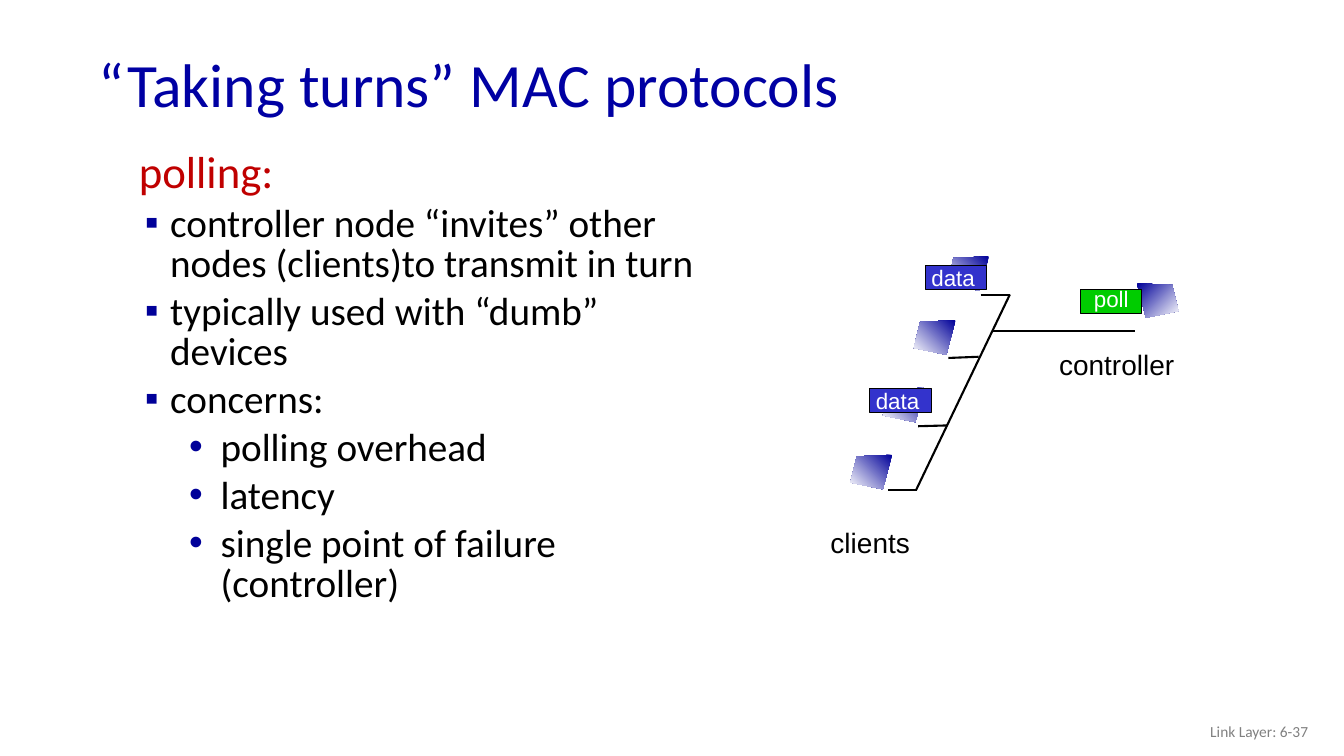
"""Build the slide on polling as a "taking turns" MAC protocol."""
from lxml.etree import SubElement
from pptx import Presentation
from pptx.dml.color import RGBColor
from pptx.enum.shapes import MSO_CONNECTOR, MSO_SHAPE
from pptx.enum.text import MSO_ANCHOR, PP_ALIGN
from pptx.oxml.ns import qn
from pptx.util import Cm, Pt

TITLE_BLUE = RGBColor(0x00, 0x00, 0xA3)
NAVY = RGBColor(0x00, 0x00, 0x99)
RED = RGBColor(0xC0, 0x00, 0x00)
GRAY = RGBColor(0x80, 0x80, 0x80)
GREEN = RGBColor(0x00, 0xCC, 0x00)
DATA_BLUE = RGBColor(0x33, 0x33, 0xCC)
BLACK = RGBColor(0x00, 0x00, 0x00)
WHITE = RGBColor(0xFF, 0xFF, 0xFF)


def write(paragraph, text, size, color=BLACK, font="Calibri", align=PP_ALIGN.LEFT,
          spacing=1.0, before=0, level=0, left=0, hanging=0, bullet=None):
    """Fill a paragraph with one formatted run."""
    paragraph.alignment = align
    paragraph.line_spacing = spacing
    paragraph.space_before = Pt(before)
    paragraph.level = level
    properties = paragraph._p.get_or_add_pPr()
    properties.set("marL", str(Cm(left)))
    properties.set("indent", str(-Cm(hanging)))
    if bullet:
        bullet_color = SubElement(properties, qn("a:buClr"))
        SubElement(bullet_color, qn("a:srgbClr"), val=str(NAVY))
        SubElement(properties, qn("a:buFont"), typeface="Arial")
        SubElement(properties, qn("a:buChar"), char=bullet)
    run = paragraph.add_run()
    run.text = text
    run.font.size = Pt(size)
    run.font.name = font
    run.font.color.rgb = color


def add_frame(left, top, width, height, anchor=MSO_ANCHOR.TOP, wrap=True):
    """Add a text box and return its text frame."""
    box = slide.shapes.add_textbox(Cm(left), Cm(top), Cm(width), Cm(height))
    box.text_frame.word_wrap = wrap
    box.text_frame.vertical_anchor = anchor
    return box.text_frame


presentation = Presentation()
presentation.slide_width = Cm(33.87)
presentation.slide_height = Cm(19.05)
slide = presentation.slides.add_slide(presentation.slide_layouts[6])

title = add_frame(2.24, 0.97, 29.21, 2.49, MSO_ANCHOR.MIDDLE)
write(title.paragraphs[0], "“Taking turns” MAC protocols", 44, TITLE_BLUE, spacing=0.9)
footer = add_frame(25.6, 17.91, 7.62, 1.02, MSO_ANCHOR.MIDDLE)
write(footer.paragraphs[0], "Link Layer: 6-37", 11, GRAY, align=PP_ALIGN.RIGHT)

body = add_frame(3.25, 3.71, 15.24, 14.07)
write(body.paragraphs[0], "polling:", 32, RED, spacing=0.85, left=0.97, hanging=0.97)
point = dict(left=0.79, hanging=0.64, bullet="▪")
subpoint = dict(level=1, left=2.06, hanging=0.79, bullet="•")
for text, style in [
    ("controller node “invites” other nodes (clients)to transmit in turn", point),
    ("typically used with “dumb” devices", point),
    ("concerns:", point),
    ("polling overhead", subpoint),
    ("latency", subpoint),
    ("single point of failure (controller)", subpoint),
]:
    write(body.add_paragraph(), text, 28, spacing=0.85, before=5.6, **style)

SCREEN_OUTLINE = [(0, 0), (0.89, 0.04), (1.05, 0.7), (0.23, 0.87)]
for corner_x, corner_y, direction, angle in [
    (22.48, 11.46, -1, 225),
    (23.3, 9.77, -1, 225),
    (24.08, 8.07, -1, 225),
    (24.92, 6.46, -1, 225),
    (28.65, 7.14, 1, 315),
]:
    corners = [(Cm(corner_x + direction * x), Cm(corner_y + y)) for x, y in SCREEN_OUTLINE]
    builder = slide.shapes.build_freeform(*corners[0])
    builder.add_line_segments(corners[1:], close=True)
    screen = builder.convert_to_shape()
    screen.shadow.inherit = False
    screen.line.fill.background()
    screen.fill.gradient()
    screen.fill.gradient_angle = angle
    for stop, color, position in zip(screen.fill.gradient_stops, (NAVY, WHITE), (0, 1)):
        stop.color.rgb = color
        stop.position = position

for text, left, top, width in [("controller", 26.44, 8.64, 3.45), ("clients", 20.68, 13.11, 2.54)]:
    label = add_frame(left, top, width, 1.12, wrap=False)
    write(label.paragraphs[0], text, 20, font="Arial")

for text, left, top, color, margin_right, margin_bottom in [
    ("poll", 27.23, 7.29, GREEN, 0, 0.13),
    ("data", 21.92, 9.78, DATA_BLUE, 0.15, 0),
    ("data", 23.32, 6.68, DATA_BLUE, 0.15, 0),
]:
    packet = slide.shapes.add_shape(MSO_SHAPE.RECTANGLE, Cm(left), Cm(top), Cm(1.55), Cm(0.61))
    packet.shadow.inherit = False
    packet.fill.solid()
    packet.fill.fore_color.rgb = color
    packet.line.color.rgb = BLACK
    packet.line.width = Pt(0.75)
    frame = packet.text_frame
    frame.word_wrap = False
    frame.vertical_anchor = MSO_ANCHOR.MIDDLE
    frame.margin_left = frame.margin_top = 0
    frame.margin_right = Cm(margin_right)
    frame.margin_bottom = Cm(margin_bottom)
    write(frame.paragraphs[0], text, 16, WHITE, "Arial", PP_ALIGN.CENTER)

for start_x, start_y, end_x, end_y in [
    (25.02, 8.33, 28.6, 8.33),
    (24.71, 7.44, 25.45, 7.44),
    (23.09, 12.34, 25.45, 7.42),
    (23.9, 9.02, 24.66, 8.99),
    (23.14, 10.74, 23.88, 10.72),
    (22.38, 12.34, 23.11, 12.34),
]:
    wire = slide.shapes.add_connector(
        MSO_CONNECTOR.STRAIGHT, Cm(start_x), Cm(start_y), Cm(end_x), Cm(end_y))
    wire.line.color.rgb = BLACK
    wire.line.width = Pt(1.5)
    SubElement(wire._element.spPr, qn("a:effectLst"))

presentation.save("out.pptx")
